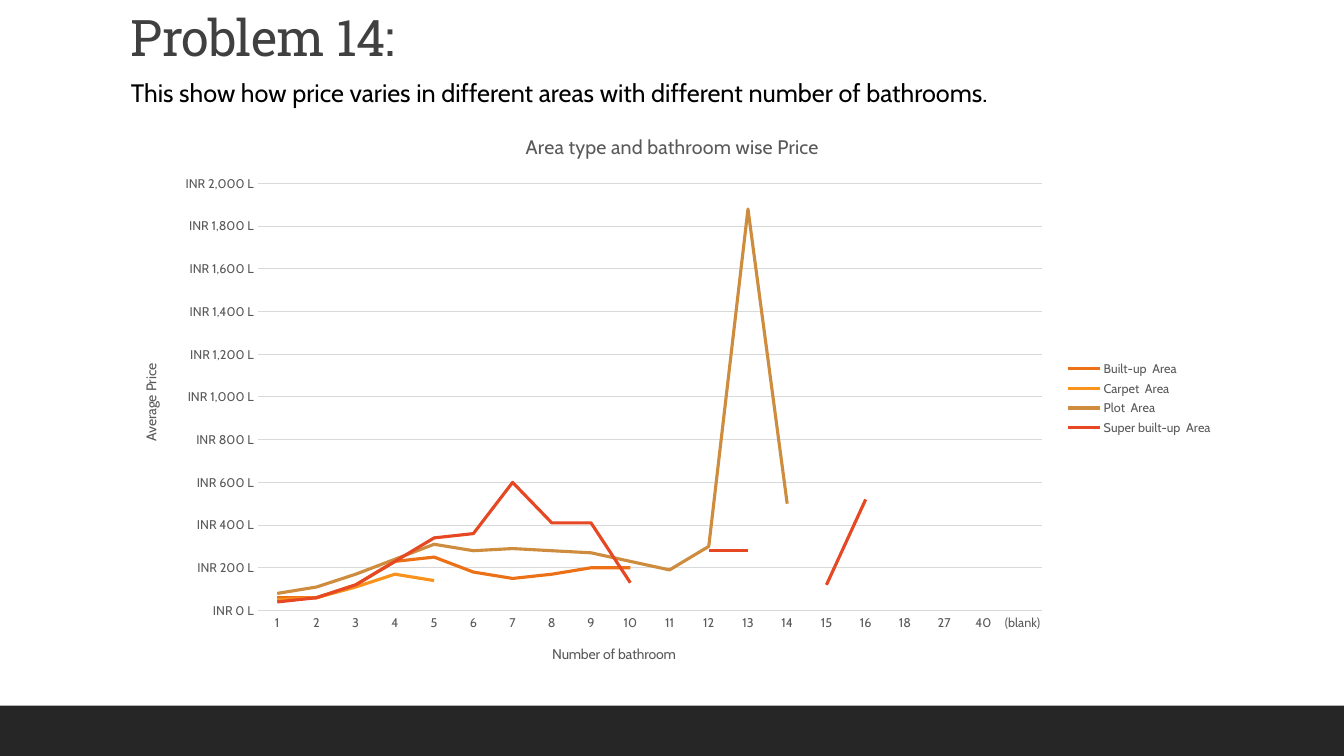
from lxml import etree
from pptx import Presentation, util as u
from pptx.chart.data import CategoryChartData
from pptx.dml.color import RGBColor
from pptx.enum import chart as ch, shapes, text
from pptx.oxml.ns import qn

BLACK = RGBColor(0x00, 0x00, 0x00)
BAND = RGBColor(0x26, 0x26, 0x26)
HEAD = RGBColor(0x40, 0x40, 0x40)
GREY = RGBColor(0x59, 0x59, 0x59)
GRID = RGBColor(0xD9, 0xD9, 0xD9)
ORANGE = RGBColor(0xEC, 0x70, 0x16)
AMBER = RGBColor(0xF8, 0x93, 0x1D)
OCHRE = RGBColor(0xCE, 0x8D, 0x3E)
RED = RGBColor(0xE6, 0x48, 0x23)

deck = Presentation()
deck.slide_width, deck.slide_height = u.Inches(13.33), u.Inches(7.5)
W, H = deck.slide_width, deck.slide_height
LEFT = int(W * 0.09)
slide = deck.slides.add_slide(deck.slide_layouts[6])


def style(font, size, color, name="Cabin"):
    look = {"size": u.Pt(size), "name": name, "bold": False}
    for key, val in look.items():
        setattr(font, key, val)
    font.color.rgb = color


def place(part, **spots):
    """Set a chart part's place as shares of the chart."""
    lay = part.find(qn("c:layout"))
    if lay is None:
        lay = etree.Element(qn("c:layout"))
        part.insert(0, lay)
    box = etree.SubElement(lay, qn("c:manualLayout"))
    if "w" in spots:
        etree.SubElement(box, qn("c:layoutTarget")).set("val", "inner")
    for key in ("xMode", "yMode"):
        etree.SubElement(box, qn("c:" + key)).set("val", "edge")
    for key, val in spots.items():
        etree.SubElement(box, qn("c:" + key)).set("val", str(val))


# Dark band along the foot
top = int(H * 14 / 15)
band = slide.shapes.add_shape(shapes.MSO_SHAPE.RECTANGLE, 0, top, W, H - top)
band.shadow.inherit = False
band.fill.solid()
band.fill.fore_color.rgb = BAND
band.line.fill.background()

# Heading and lead line
rows = [
    ("Problem 14:", 0.08, 11, 0.64, 36, HEAD, "Roboto Slab"),
    ("This show how price varies in different areas with different "
     "number of bathrooms.", 0.72, 8.76, 0.4, 18, BLACK, "Cabin"),
]
for words, y, wide, high, size, color, face in rows:
    box = slide.shapes.add_textbox(LEFT, u.Inches(y), u.Inches(wide), u.Inches(high))
    frame = box.text_frame
    frame.word_wrap = size == 36
    frame.vertical_anchor = text.MSO_ANCHOR.MIDDLE
    para = frame.paragraphs[0]
    run = para.add_run()
    run.text = words
    style(run.font, size, color, face)
    if size == 36:
        para.line_spacing = 0.9
        run.font._element.set("spc", "-50")

# Price by bathroom count, one line per area type
X = None
cats = [str(n) for n in range(1, 17)] + ["18", "27", "40", "(blank)"]
lines = [
    ("Built-up  Area", ORANGE, [60, 60, 120, 230, 250, 180, 150, 170, 200, 200]),
    ("Carpet  Area", AMBER, [50, 60, 110, 170, 140]),
    ("Plot  Area", OCHRE, [80, 110, 170, 240, 310, 280, 290, 280, 270, 230,
                           190, 300, 1880, 500]),
    ("Super built-up  Area", RED, [40, 60, 120, 230, 340, 360, 600, 410, 410, 130,
                                   X, 280, 280, X, 120, 520]),
]
data = CategoryChartData()
data.categories = cats
for name, color, vals in lines:
    data.add_series(name, vals + [X] * (len(cats) - len(vals)))
chart = slide.shapes.add_chart(
    ch.XL_CHART_TYPE.LINE, LEFT, int(H * 0.15), int(W * 0.82), u.Inches(5.65), data
).chart
style(chart.font, 10, BLACK)
chart.plots[0].vary_by_categories = False
for row, (name, color, vals) in zip(chart.plots[0].series, lines):
    row.smooth = False
    row.marker.style = ch.XL_MARKER_STYLE.NONE
    row.format.line.color.rgb = color
    row.format.line.width = u.Pt(2.25)

# Axes
xs, ys = chart.category_axis, chart.value_axis
for axis in (xs, ys):
    axis.major_tick_mark = axis.minor_tick_mark = ch.XL_TICK_MARK.NONE
    style(axis.tick_labels.font, 9, GREY)
xs.has_major_gridlines = False
for line in (xs.format.line, ys.major_gridlines.format.line):
    line.color.rgb = GRID
    line.width = u.Pt(0.75)
ys.format.line.fill.background()
scale = {"minimum_scale": 0, "maximum_scale": 2000, "major_unit": 200}
for key, val in scale.items():
    setattr(ys, key, val)
ys.tick_labels.number_format = r"[$INR]\ #,##0\ \L"
ys.tick_labels.number_format_is_linked = False

# Titles, plot area and legend
titles = [
    (chart.chart_title, "Area type and bathroom wise Price", 14, 0.364, 0.028),
    (xs.axis_title, "Number of bathroom", 10, 0.389, 0.928),
    (ys.axis_title, "Average Price", 10, 0.016, 0.435),
]
for title, words, size, x, y in titles:
    run = title.text_frame.paragraphs[0].add_run()
    run.text = words
    style(run.font, size, GREY)
    place(title._element, x=x, y=y)
place(chart._chartSpace.chart.plotArea, x=0.124, y=0.123, w=0.712, h=0.75)
chart.has_legend = True
chart.legend.position = ch.XL_LEGEND_POSITION.RIGHT
chart.legend.include_in_layout = False
style(chart.legend.font, 9, GREY)

deck.save("out.pptx")
